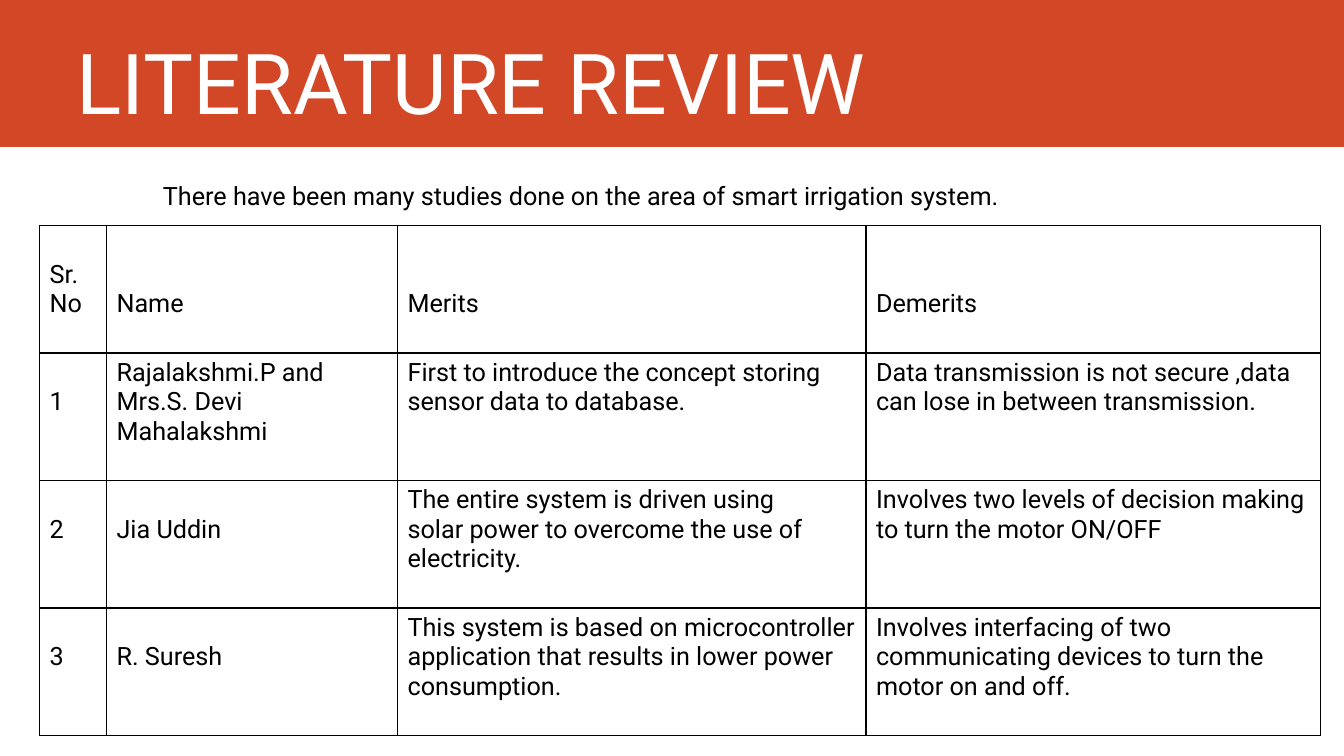
from typing import NamedTuple

from lxml import etree
from pptx import Presentation
from pptx.dml.color import RGBColor
from pptx.enum.shapes import MSO_SHAPE
from pptx.enum.text import MSO_ANCHOR
from pptx.oxml.ns import qn
from pptx.util import Pt

RECTANGLE = MSO_SHAPE.RECTANGLE
TOP, BOTTOM = MSO_ANCHOR.TOP, MSO_ANCHOR.BOTTOM
FONT = "Roboto"
ORANGE, WHITE, BLACK = "D24726", "FFFFFF", "000000"
BODY_SIZE = 18
LINE_HEIGHT = 21.1
CELL_MARGIN = 3.6
SLIDE_WIDTH, SLIDE_HEIGHT = 960, 540
TABLE_LEFT, TABLE_TOP = 28.2, 161
COLUMN_WIDTHS = (47.9, 207.9, 334.6, 324.6)
ROW_HEIGHT = 91.1


class Entry(NamedTuple):
    """One table cell: its text and how many lines down it starts."""
    text: str
    lines_down: int = 0


ROWS = [
    [Entry("Sr.\nNo", 1), Entry("Name", 2), Entry("Merits", 2), Entry("Demerits", 2)],
    [Entry("1", 1),
     Entry("Rajalakshmi.P and Mrs.S. Devi Mahalakshmi"),
     Entry("First to introduce the concept storing sensor data to database."),
     Entry("Data transmission is not secure ,data can lose in between transmission.")],
    [Entry("2", 1),
     Entry("Jia Uddin", 1),
     Entry("The entire system is driven using\n"
           "solar power to overcome the use of electricity."),
     Entry("Involves two levels of decision making to turn the motor ON/OFF")],
    [Entry("3", 1),
     Entry("R. Suresh", 1),
     Entry("This system is based on microcontroller\n"
           "application that results in lower power consumption."),
     Entry("Involves interfacing of two communicating devices "
           "to turn the motor on and off.")],
]


def rgb(value: str) -> RGBColor:
    """Turn a hex string into a colour."""
    return RGBColor.from_string(value)


def write(tf, text: str, *, size: float = BODY_SIZE, color: str = BLACK) -> None:
    """Fill a text frame, one paragraph for each line of text."""
    tf.word_wrap = True
    for i, line in enumerate(text.split("\n")):
        p = tf.paragraphs[0] if i == 0 else tf.add_paragraph()
        r = p.add_run()
        r.text = line
        r.font.name = FONT
        r.font.size = Pt(size)
        r.font.color.rgb = rgb(color)


def add_text(s, text: str, left: float, top: float, width: float, height: float,
             *, anchor=TOP, **style) -> None:
    """Add a text box without margins."""
    tf = s.shapes.add_textbox(Pt(left), Pt(top), Pt(width), Pt(height)).text_frame
    tf.margin_left = tf.margin_right = tf.margin_top = tf.margin_bottom = 0
    tf.vertical_anchor = anchor
    write(tf, text, **style)


def add_banner(s, height: float) -> None:
    """Add the full-width title band."""
    sp = s.shapes.add_shape(RECTANGLE, 0, 0, Pt(SLIDE_WIDTH), Pt(height))
    sp.shadow.inherit = False
    sp.fill.solid()
    sp.fill.fore_color.rgb = rgb(ORANGE)
    sp.line.fill.background()


def outline(cell, color: str, width: float) -> None:
    """Draw all four borders of a cell, ahead of its fill in the XML."""
    tcPr = cell._tc.get_or_add_tcPr()
    for i, side in enumerate(("a:lnL", "a:lnR", "a:lnT", "a:lnB")):
        ln = etree.Element(qn(side), w=str(Pt(width)))
        fill = etree.SubElement(ln, qn("a:solidFill"))
        etree.SubElement(fill, qn("a:srgbClr"), val=color)
        tcPr.insert(i, ln)


def add_review_table(s, rows: list[list[Entry]]) -> None:
    """Add the ruled table of reviewed studies."""
    table = s.shapes.add_table(
        len(rows), len(COLUMN_WIDTHS), Pt(TABLE_LEFT), Pt(TABLE_TOP),
        Pt(sum(COLUMN_WIDTHS)), Pt(ROW_HEIGHT * len(rows))).table
    table.first_row = table.horz_banding = False
    for column, width in zip(table.columns, COLUMN_WIDTHS):
        column.width = Pt(width)
    for y, row in enumerate(rows):
        table.rows[y].height = Pt(ROW_HEIGHT)
        for x, entry in enumerate(row):
            cell = table.cell(y, x)
            cell.fill.background()
            outline(cell, BLACK, 1)
            cell.margin_top = Pt(CELL_MARGIN + entry.lines_down * LINE_HEIGHT)
            write(cell.text_frame, entry.text)


prs = Presentation()
prs.slide_width, prs.slide_height = Pt(SLIDE_WIDTH), Pt(SLIDE_HEIGHT)
s = prs.slides.add_slide(prs.slide_layouts[6])
add_banner(s, 105)
add_text(s, "LITERATURE REVIEW", 54.7, 0, 832, 94, anchor=BOTTOM, size=60, color=WHITE)
add_text(s, "There have been many studies done on the area of smart irrigation system.",
         116.4, 129, 780, 24)
add_review_table(s, ROWS)
prs.save("out.pptx")
